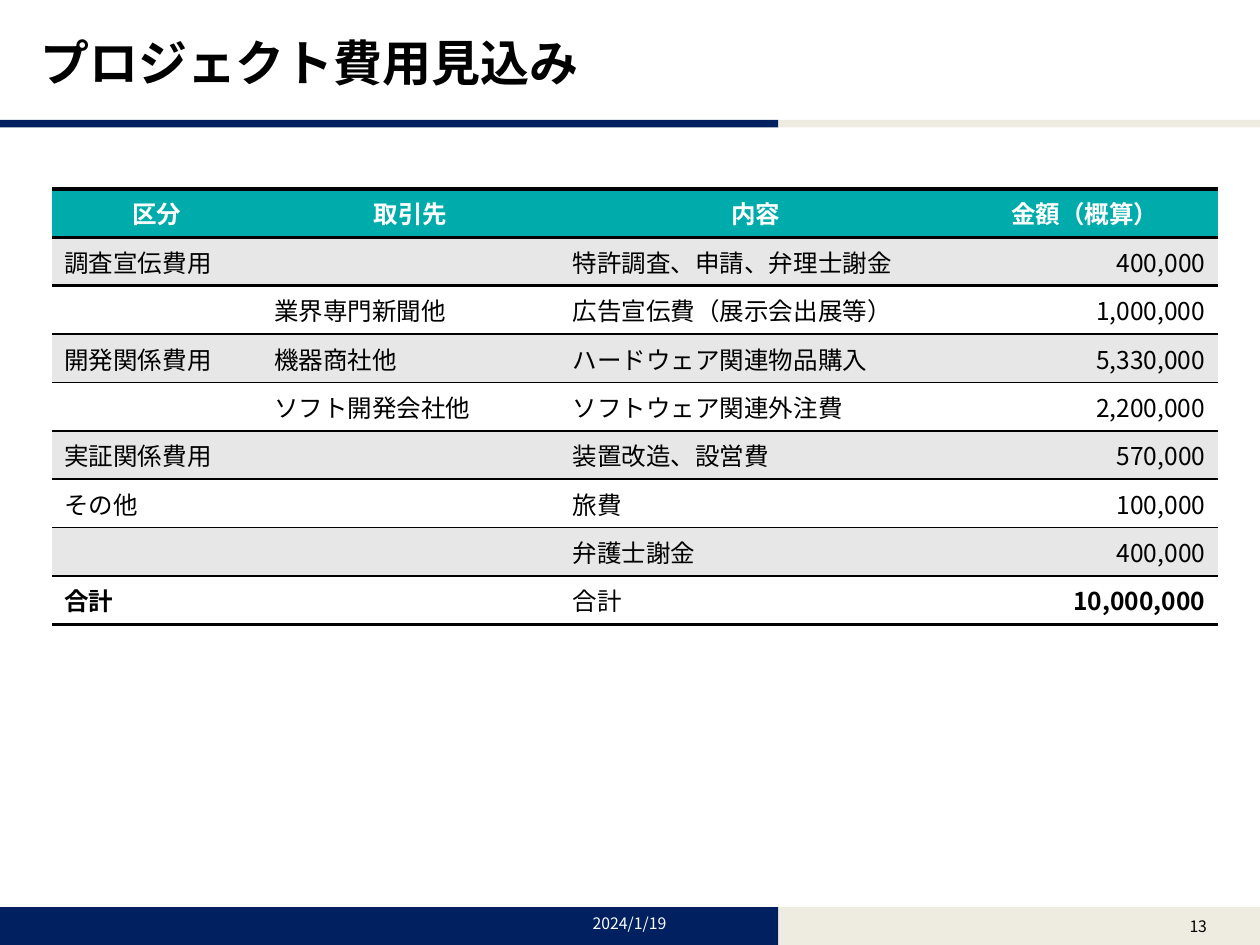
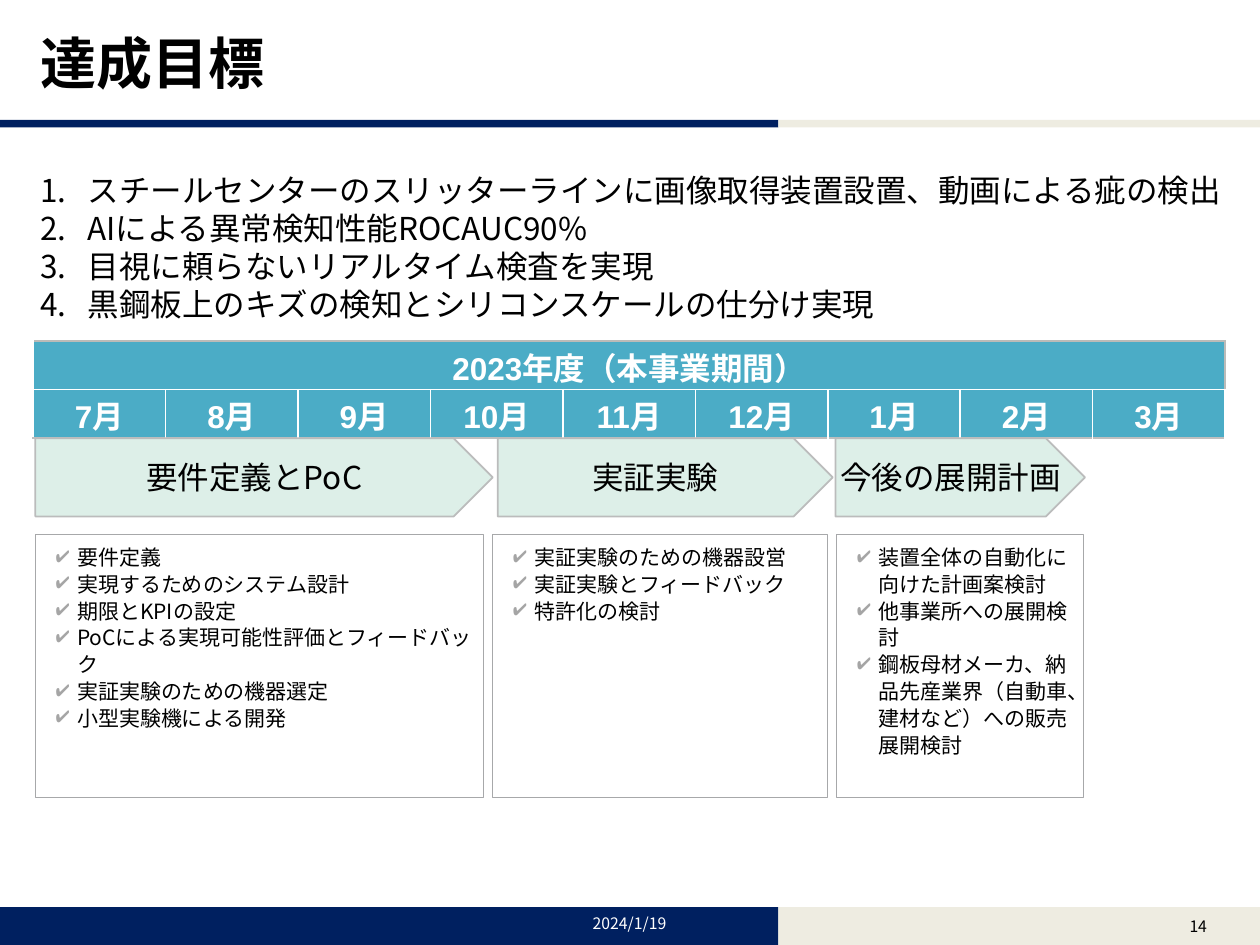
from lxml.etree import SubElement
from pptx import Presentation
from pptx.dml.color import RGBColor
from pptx.enum.lang import MSO_LANGUAGE_ID
from pptx.enum.shapes import MSO_SHAPE
from pptx.enum.text import MSO_ANCHOR, MSO_AUTO_SIZE, PP_ALIGN
from pptx.oxml.ns import qn
from pptx.util import Pt

HUES = {
    "navy": "002060", "sand": "EEECE1", "teal": "00ABAB", "band": "E7E7E7",
    "white": "FFFFFF", "black": "000000", "sky": "4BACC6", "edge": "BBBBB8",
    "rule": "BFBFBF", "mint": "DDEFE8", "rim": "BBBCBC", "frame": "A7A8AA",
    "tick": "A5A5A5",
}
FACE = "Noto Sans CJK JP"
PLAIN = "{2D5ABB26-0587-4C30-8999-92F81FD0307C}"
LEFT, MID, RIGHT = PP_ALIGN.LEFT, PP_ALIGN.CENTER, PP_ALIGN.RIGHT
SIDES = ("left", "top", "width", "height")
EDGES = ("margin_left", "margin_top", "margin_right", "margin_bottom")

COSTS = [
    ("区分", "取引先", "内容", "金額（概算）"),
    ("調査宣伝費用", "", "特許調査、申請、弁理士謝金", "400,000"),
    ("", "業界専門新聞他", "広告宣伝費（展示会出展等）", "1,000,000"),
    ("開発関係費用", "機器商社他", "ハードウェア関連物品購入", "5,330,000"),
    ("", "ソフト開発会社他", "ソフトウェア関連外注費", "2,200,000"),
    ("実証関係費用", "", "装置改造、設営費", "570,000"),
    ("その他", "", "旅費", "100,000"),
    ("", "", "弁護士謝金", "400,000"),
    ("合計", "", "合計", "10,000,000"),
]
GOALS = [
    "スチールセンターのスリッターラインに画像取得装置設置、動画による疵の検出",
    "AIによる異常検知性能ROCAUC90%",
    "目視に頼らないリアルタイム検査を実現",
    "黒鋼板上のキズの検知とシリコンスケールの仕分け実現",
]
MONTHS = [7, 8, 9, 10, 11, 12, 1, 2, 3]
STAGES = [
    ("要件定義とPoC", (20.2, 261.4), (20.2, 256.3), [
        "要件定義", "実現するためのシステム設計", "期限とKPIの設定",
        "PoCによる実現可能性評価とフィードバック",
        "実証実験のための機器選定", "小型実験機による開発"]),
    ("実証実験", (284.4, 191.5), (281.5, 191.5), [
        "実証実験のための機器設営", "実証実験とフィードバック", "特許化の検討"]),
    ("今後の展開計画", (477.4, 142.6), (478.1, 141.1), [
        "装置全体の自動化に向けた計画案検討", "他事業所への展開検討",
        "鋼板母材メーカ、納品先産業界（自動車、建材など）への販売展開検討"]),
]


def rgb(hue):
    return RGBColor.from_string(HUES[hue])


def put(item, values):
    for name, value in values.items():
        setattr(item, name, value)


class Deck:
    def __init__(self):
        self.file = Presentation()
        put(self.file, {"slide_width": Pt(720), "slide_height": Pt(540)})
        self.slide = None

    def page(self, layout, title, size, number):
        self.slide = self.file.slides.add_slide(self.file.slide_layouts[layout])
        for top, tall in ((68.6, 4.3), (518.4, 22)):
            self.shape(MSO_SHAPE.RECTANGLE, (0, top, 444.8, tall), "navy")
            self.shape(MSO_SHAPE.RECTANGLE, (444.8, top, 275.2, tall), "sand")
        head = self.slide.shapes.title
        self.place(head, (15.8, 11.5, 530, 48.2))
        self.frame(head, MSO_ANCHOR.MIDDLE)
        self.words(head.text_frame.paragraphs[0], title, size, bold=True)
        self.label((275.8, 515.5, 167.8, 24.5), "2024/1/19", "white")
        self.label((649.4, 518.4, 70.6, 21.6), number, "black")

    def place(self, item, box):
        put(item, dict(zip(SIDES, map(Pt, box))))

    def frame(self, item, anchor, inset=None):
        put(item.text_frame, {"word_wrap": True, "vertical_anchor": anchor,
                              "auto_size": MSO_AUTO_SIZE.NONE})
        if inset is not None:
            put(item.text_frame, dict.fromkeys(EDGES, Pt(inset)))

    def words(self, para, text, size, hue="black", align=LEFT, bold=False,
              face=FACE, space=None):
        put(para, {"alignment": align, "line_spacing": space})
        run = para.add_run()
        run.text = text
        put(run.font, {"size": Pt(size), "bold": bold, "name": face,
                       "language_id": MSO_LANGUAGE_ID.JAPANESE})
        run.font.color.rgb = rgb(hue)
        SubElement(run._r.get_or_add_rPr(), qn("a:ea")).set("typeface", FACE)

    def label(self, box, text, hue):
        item = self.slide.shapes.add_textbox(*map(Pt, box))
        self.frame(item, MSO_ANCHOR.MIDDLE)
        self.words(item.text_frame.paragraphs[0], text, 9, hue, MID)

    def shape(self, kind, box, fill, line=None, width=1):
        item = self.slide.shapes.add_shape(kind, *map(Pt, box))
        item.shadow.inherit = False
        item.fill.solid()
        item.fill.fore_color.rgb = rgb(fill)
        if line:
            item.line.color.rgb = rgb(line)
            item.line.width = Pt(width)
        else:
            item.line.fill.background()
        return item

    def list(self, item, lines, size, space, indent, tick=None):
        for n, text in enumerate(lines):
            frame = item.text_frame
            para = frame.add_paragraph() if n else frame.paragraphs[0]
            props = para._p.get_or_add_pPr()
            props.set("marL", str(Pt(indent[0])))
            props.set("indent", str(Pt(indent[1])))
            if tick:
                tint = SubElement(props, qn("a:buClr"))
                SubElement(tint, qn("a:srgbClr")).set("val", HUES["tick"])
                SubElement(props, qn("a:buChar")).set("char", tick)
            else:
                SubElement(props, qn("a:buAutoNum")).set("type", "arabicPeriod")
            put(para, {"space_before": Pt(0), "space_after": Pt(0)})
            self.words(para, text, size, space=Pt(space))

    def table(self, box, rows, cols):
        grid = self.slide.shapes.add_table(rows, len(cols), *map(Pt, box)).table
        grid._tbl.tblPr.find(qn("a:tableStyleId")).text = PLAIN
        for col, wide in zip(grid.columns, cols):
            col.width = Pt(wide)
        for row in grid.rows:
            row.height = Pt(box[3] / rows)
        return grid

    def cell(self, cell, text, fill, lines, **style):
        props = cell._tc.get_or_add_tcPr()
        for side in "LRTB":
            if side in lines:
                hue, width = lines[side]
                line = SubElement(props, qn("a:ln" + side), w=str(Pt(width)))
                paint = SubElement(line, qn("a:solidFill"))
                SubElement(paint, qn("a:srgbClr")).set("val", HUES[hue])
        cell.fill.solid()
        cell.fill.fore_color.rgb = rgb(fill)
        cell.vertical_anchor = MSO_ANCHOR.MIDDLE
        if text:
            self.words(cell.text_frame.paragraphs[0], text, **style)
        else:
            cell.text_frame.paragraphs[0].font.size = Pt(style["size"])


def costs(deck):
    deck.page(5, "プロジェクト費用見込み", 28, "13")
    grid = deck.table((29.6, 108, 666.4, 216), len(COSTS),
                      (119.8, 170.6, 224, 152))
    last = len(COSTS) - 1
    rules = [2, 2, 0] + [1] * (last - 2) + [2]
    for r, row in enumerate(COSTS):
        lines = {side: ("black", width)
                 for side, width in zip("TB", rules[r:r + 2]) if width}
        fill = "teal" if r == 0 else "band" if r % 2 else "white"
        for c, text in enumerate(row):
            deck.cell(grid.cell(r, c), text, fill, lines, size=14,
                      hue="black" if r else "white",
                      align=MID if r == 0 else RIGHT if c == 3 else LEFT,
                      bold=r == 0 or (r == last and c in (0, 3)))


def goals(deck):
    deck.page(1, "達成目標", 32, "14")
    body = deck.slide.placeholders[1]
    deck.place(body, (15.8, 94, 700.6, 94.3))
    deck.frame(body, MSO_ANCHOR.TOP)
    deck.list(body, GOALS, 18, 21.7, (27, -27))

    grid = deck.table((18.9, 195, 681.3, 42.2), 2, [75.7] * len(MONTHS))
    grid.cell(0, 0).merge(grid.cell(0, len(MONTHS) - 1))
    white = dict.fromkeys("LRTB", ("white", 1))
    year = white | dict.fromkeys("TR", ("edge", 1))
    month = white | {"B": ("rule", 1)}
    cells = [(0, 0, "2023年度（本事業期間）", year)]
    cells += [(1, c, f"{m}月", month) for c, m in enumerate(MONTHS)]
    for r, c, text, lines in cells:
        cell = grid.cell(r, c)
        put(cell, dict(zip(EDGES, map(Pt, (3, 0, 3, 0)))))
        deck.cell(cell, text, "sky", lines, size=18, hue="white", align=MID,
                  bold=True, face="Arial", space=1.06)

    for name, (left, wide), (start, span), tasks in STAGES:
        arrow = deck.shape(MSO_SHAPE.PENTAGON, (left, 250.4, wide, 44.7),
                           "mint", "rim")
        deck.frame(arrow, MSO_ANCHOR.MIDDLE, 0)
        deck.words(arrow.text_frame.paragraphs[0], name, 18, align=MID)
        card = deck.shape(MSO_SHAPE.RECTANGLE, (start, 305.3, span, 150.4),
                          "white", "frame", 0.75)
        deck.frame(card, MSO_ANCHOR.TOP, 5)
        deck.list(card, tasks, 12, 15.3, (18.9, -12.2), "✔")


def main():
    deck = Deck()
    costs(deck)
    goals(deck)
    deck.file.save("out.pptx")


if __name__ == "__main__":
    main()
